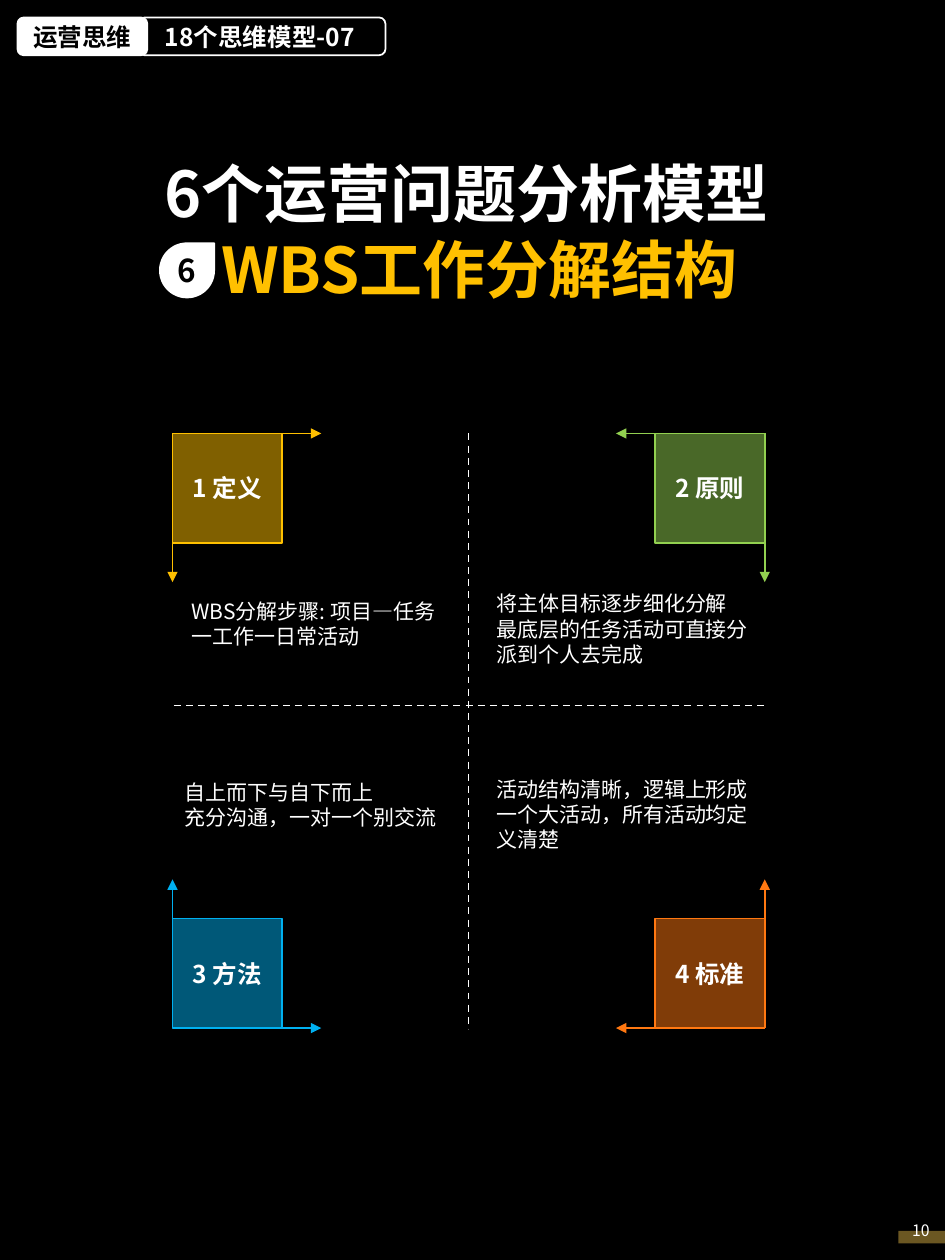
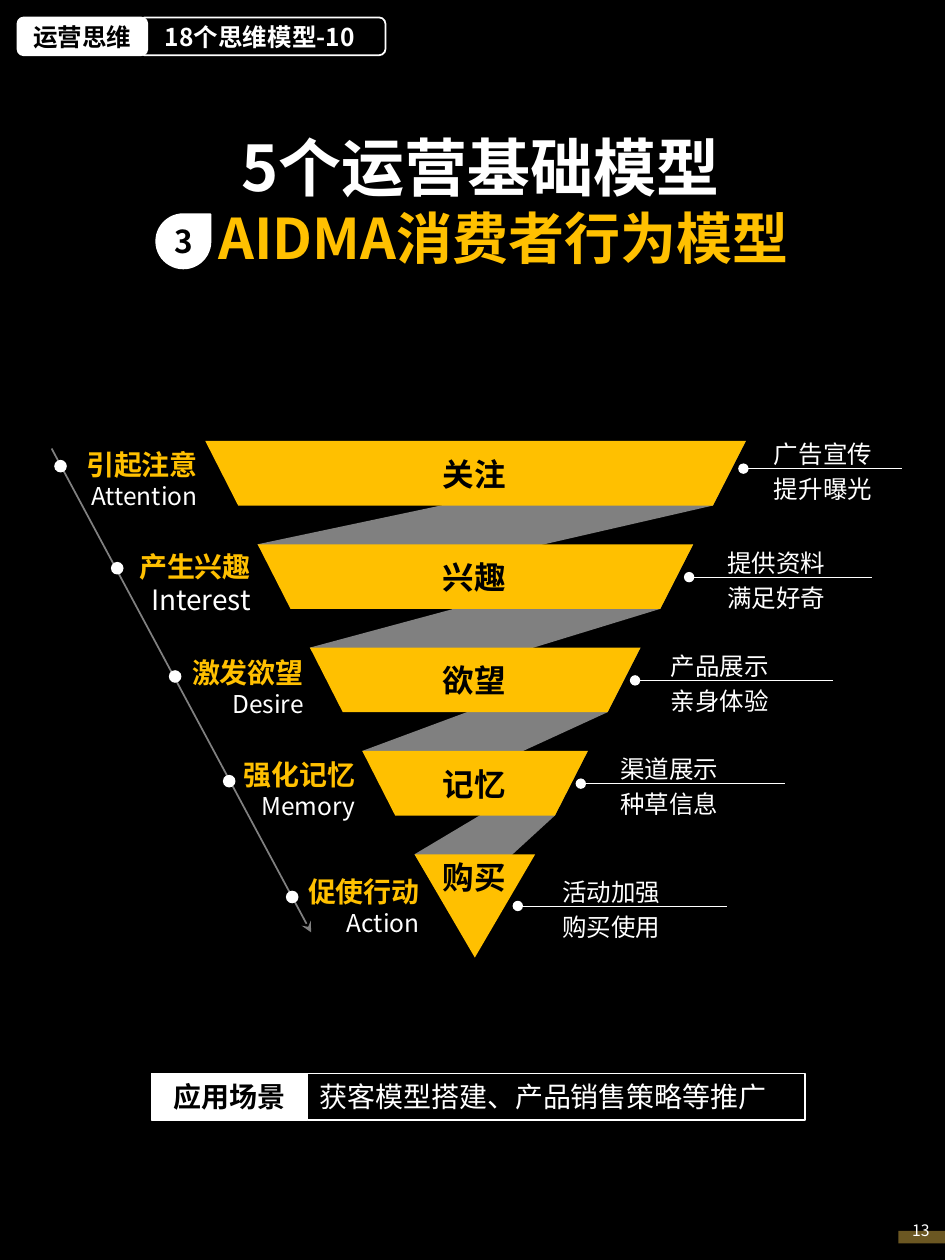
from lxml import etree
from pptx import Presentation
from pptx import util as u
from pptx.dml import color
from pptx.enum import dml, shapes, text
from pptx.oxml import ns

Pt = u.Pt
SHAPE = shapes.MSO_SHAPE
ALIGN = text.PP_ALIGN
FONT = "Noto Sans CJK SC"
COLORS = {
    "black": "000000",
    "white": "FFFFFF",
    "gold": "FFC000",
    "green": "92D050",
    "blue": "00B0F0",
    "orange": "FF7811",
    "gray": "808080",
    "olive": "6B5722",
}


def set_all(target, values):
    for name, value in values.items():
        setattr(target, name, value)


def add_xml(parent, tag, **attributes):
    return etree.SubElement(parent, ns.qn(tag), attributes)


class Deck:
    def __init__(self, width, height):
        self.presentation = Presentation()
        set_all(self.presentation, {"slide_width": Pt(width), "slide_height": Pt(height)})
        self.slide = None

    def rgb(self, name):
        return color.RGBColor.from_string(COLORS[name])

    def new_slide(self):
        self.slide = self.presentation.slides.add_slide(self.presentation.slide_layouts[6])
        fill = self.slide.background.fill
        fill.solid()
        fill.fore_color.rgb = self.rgb("black")

    def fill_text(self, shape, lines, size=12, ink="white", bold=False, align=ALIGN.LEFT,
                  anchor=text.MSO_ANCHOR.TOP, wrap=True, spacing=None, insets=(7.2, 3.6)):
        frame = shape.text_frame
        side, edge = (Pt(inset) for inset in insets)
        set_all(frame, {"word_wrap": wrap, "vertical_anchor": anchor,
                        "margin_left": side, "margin_right": side,
                        "margin_top": edge, "margin_bottom": edge})
        for number, line in enumerate(lines):
            line = {"text": line} if isinstance(line, str) else line
            paragraph = frame.paragraphs[0] if number == 0 else frame.add_paragraph()
            set_all(paragraph, {"alignment": align, "line_spacing": spacing})
            if "indent" in line:
                properties = paragraph._p.get_or_add_pPr()
                properties.set("marL", str(Pt(line["indent"])))
                properties.set("indent", "0")
            run = paragraph.add_run()
            run.text = line["text"]
            set_all(run.font, {"size": Pt(line.get("size", size)),
                               "bold": line.get("bold", bold), "name": FONT})
            run.font.color.rgb = self.rgb(line.get("ink", ink))
            add_xml(run.font._element, "a:ea", typeface=FONT)

    def text(self, left, top, width, height, lines, **style):
        box = self.slide.shapes.add_textbox(Pt(left), Pt(top), Pt(width), Pt(height))
        self.fill_text(box, lines, **style)

    def paint(self, shape, fill=None, line=None, weight=1, alpha=None):
        shape.shadow.inherit = False
        if fill:
            shape.fill.solid()
            shape.fill.fore_color.rgb = self.rgb(fill)
            if alpha:
                solid = shape._element.spPr.find(ns.qn("a:solidFill"))
                add_xml(solid[0], "a:alpha", val=str(alpha * 1000))
        else:
            shape.fill.background()
        if line:
            shape.line.color.rgb = self.rgb(line)
            shape.line.width = Pt(weight)
        else:
            shape.line.fill.background()

    def shape(self, kind, left, top, width, height, lines=(), fill=None, line=None,
              weight=1, alpha=None, **style):
        shape = self.slide.shapes.add_shape(kind, Pt(left), Pt(top), Pt(width), Pt(height))
        self.paint(shape, fill, line, weight, alpha)
        if lines:
            style = {"align": ALIGN.CENTER, "anchor": text.MSO_ANCHOR.MIDDLE,
                     "insets": (0, 0), **style}
            self.fill_text(shape, lines, **style)

    def polygon(self, points, fill):
        points = [(Pt(x), Pt(y)) for x, y in points]
        builder = self.slide.shapes.build_freeform(*points[0])
        builder.add_line_segments(points[1:])
        self.paint(builder.convert_to_shape(), fill)

    def line(self, start, end, ink="white", weight=1, dash=None, head=None, tail=None, alpha=None):
        ends = [Pt(value) for value in (*start, *end)]
        connector = self.slide.shapes.add_connector(shapes.MSO_CONNECTOR.STRAIGHT, *ends)
        connector.line.color.rgb = self.rgb(ink)
        set_all(connector.line, {"width": Pt(weight), "dash_style": dash})
        properties = connector._element.spPr
        outline = properties.find(ns.qn("a:ln"))
        if alpha:
            solid = outline.find(ns.qn("a:solidFill"))
            add_xml(solid[0], "a:alpha", val=str(alpha * 1000))
        for tag, arrow in (("a:headEnd", head), ("a:tailEnd", tail)):
            if arrow:
                add_xml(outline, tag, type=arrow)
        add_xml(properties, "a:effectLst")

    def title(self, left, top, width, height, lines, number, drop):
        self.text(left, top, width, height, lines, size=36, bold=True, align=ALIGN.CENTER)
        self.shape(SHAPE.TEAR, *drop, 31, 31, [number], fill="white", line="white",
                   size=18, ink="black", bold=True)

    def header_and_footer(self, topic, page):
        self.shape(SHAPE.RECTANGLE, 513.4, 703.4, 26.6, 7.2, fill="olive")
        self.text(514.1, 694.1, 25.9, 18, [page], size=9)
        self.shape(SHAPE.ROUNDED_RECTANGLE, 79.2, 10, 141.1, 21.6, [topic], line="white",
                   size=14, bold=True, align=ALIGN.LEFT, wrap=False, insets=(14, 0))
        self.shape(SHAPE.ROUNDED_RECTANGLE, 10, 10, 74.2, 21.6, ["运营思维"], fill="white",
                   line="white", size=14, ink="black", bold=True)


def build_breakdown(deck):
    deck.new_slide()
    deck.title(60.5, 85, 411.8, 94.3,
               ["6个运营问题分析模型", {"text": "WBS工作分解结构", "ink": "gold", "indent": 15.4}],
               "6", (91.4, 139))
    dash = dml.MSO_LINE.DASH
    deck.line((267.8, 247.7), (267.8, 588), dash=dash)
    deck.line((99.4, 403.2), (439.2, 403.2), dash=dash)

    left, right, top, bottom = 98.6, 437, 247.7, 587.5
    side, reach = 62.6, 85
    quadrants = [
        ("1 定义", "gold", left, top, (102.2, 338.4, 36),
         ["WBS分解步骤: 项目—任务一工作一日常活动"]),
        ("2 原则", "green", right, top, (276.5, 334.1, 51.1),
         ["将主体目标逐步细化分解", "最底层的任务活动可直接分派到个人去完成"]),
        ("3 方法", "blue", left, bottom, (98.6, 442.1, 36),
         ["自上而下与自下而上", "充分沟通，一对一个别交流"]),
        ("4 标准", "orange", right, bottom, (276.5, 439.9, 51.1),
         ["活动结构清晰，逻辑上形成一个大活动，所有活动均定义清楚"]),
    ]
    for name, ink, x, y, (text_left, text_top, height), lines in quadrants:
        across = 1 if x == left else -1
        down = 1 if y == top else -1
        deck.shape(SHAPE.RECTANGLE, min(x, x + across * side), min(y, y + down * side),
                   side, side, [name], fill=ink, line=ink, alpha=50, size=14, bold=True)
        for end in ((x + across * reach, y), (x, y + down * reach)):
            deck.line((x, y), end, ink, tail="triangle")
        deck.text(text_left, text_top, 160.6, height, lines)
    deck.header_and_footer("18个思维模型-07", "10")


def build_funnel(deck):
    deck.new_slide()
    deck.title(51.1, 69.8, 447.1, 90,
               ["5个运营基础模型",
                {"text": "AIDMA消费者行为模型", "size": 32, "ink": "gold", "indent": 26.6}],
               "3", (89.3, 122.4))
    depth, inset = 36.9, 18.8
    bars = [(117.3 + 29.9 * step, 426.2 - 30.1 * step, 252 + 59.05 * step) for step in range(5)]
    for (_, right, top), (next_left, _, next_top) in zip(bars, bars[1:]):
        deck.polygon([(right - inset, top + depth), (right, top), (next_left, next_top),
                      (next_left + 20, next_top + 33)], "gray")
    for left, right, top in bars[:-1]:
        deck.polygon([(left, top), (right, top), (right - inset, top + depth),
                      (left + inset, top + depth)], "gold")
    left, right, top = bars[-1]
    deck.polygon([(left, top), (right, top), ((left + right) / 2, top + 59)], "gold")

    deck.line((29.5, 256.3), (177.8, 532.8), alpha=50, tail="stealth")
    stages = [
        ("关注", 4.3, "引起注意", "Attention", 14, (120.2, 252), (31, 262.8),
         ["广告宣传", "提升曝光"], 434.2, (424.8, 515.5, 267.8)),
        ("兴趣", 4.3, "产生兴趣", "Interest", 16, (150.5, 310.3), (63.4, 321.1),
         ["提供资料", "满足好奇"], 407.5, (393.8, 498.2, 329.8)),
        ("欲望", 4.3, "激发欲望", "Desire", 14, (180.7, 370.8), (96.5, 383),
         ["产品展示", "亲身体验"], 375.1, (362.9, 475.9, 388.8)),
        ("记忆", 4.3, "强化记忆", "Memory", 14, (210.2, 429.1), (127.4, 442.8),
         ["渠道展示", "种草信息"], 346.3, (331.9, 448.6, 447.8)),
        ("购买", -1.4, "促使行动", "Action", 14, (247, 496.1), (163.4, 509),
         ["活动加强", "购买使用"], 313.2, (295.9, 415.4, 517.7)),
    ]
    for (_, _, bar_top), stage in zip(bars, stages):
        label, drop, name, english, size, (right, top), dot, notes, note_left, rule = stage
        deck.text(245.5, bar_top + drop, 51.1, 28.8, [label], size=18, ink="black",
                  bold=True, align=ALIGN.CENTER, wrap=False)
        deck.text(right - 79.2, top, 79.2, 44,
                  [{"text": name, "ink": "gold", "bold": True, "size": 16},
                   {"text": english, "size": size}], align=ALIGN.RIGHT, wrap=False)
        deck.shape(SHAPE.OVAL, *dot, 7.2, 7.2, fill="white")
        start, end, y = rule
        deck.text(note_left, y - 23.5, 71.3, 47.5, notes, size=14, align=ALIGN.RIGHT,
                  wrap=False, spacing=Pt(20))
        deck.line((start, y), (end, y), weight=0.5, head="oval")

    deck.shape(SHAPE.RECTANGLE, 175.7, 613.4, 284.4, 26.6, ["获客模型搭建、产品销售策略等推广"],
               line="white", weight=0.75, size=16, align=ALIGN.LEFT, insets=(7.2, 0))
    deck.shape(SHAPE.RECTANGLE, 86.4, 613.4, 89.3, 26.6, ["应用场景"], fill="white",
               line="white", weight=0.75, size=16, ink="black", bold=True)
    deck.header_and_footer("18个思维模型-10", "13")


def main():
    deck = Deck(540, 720)
    build_breakdown(deck)
    build_funnel(deck)
    deck.presentation.save("out.pptx")


if __name__ == "__main__":
    main()
